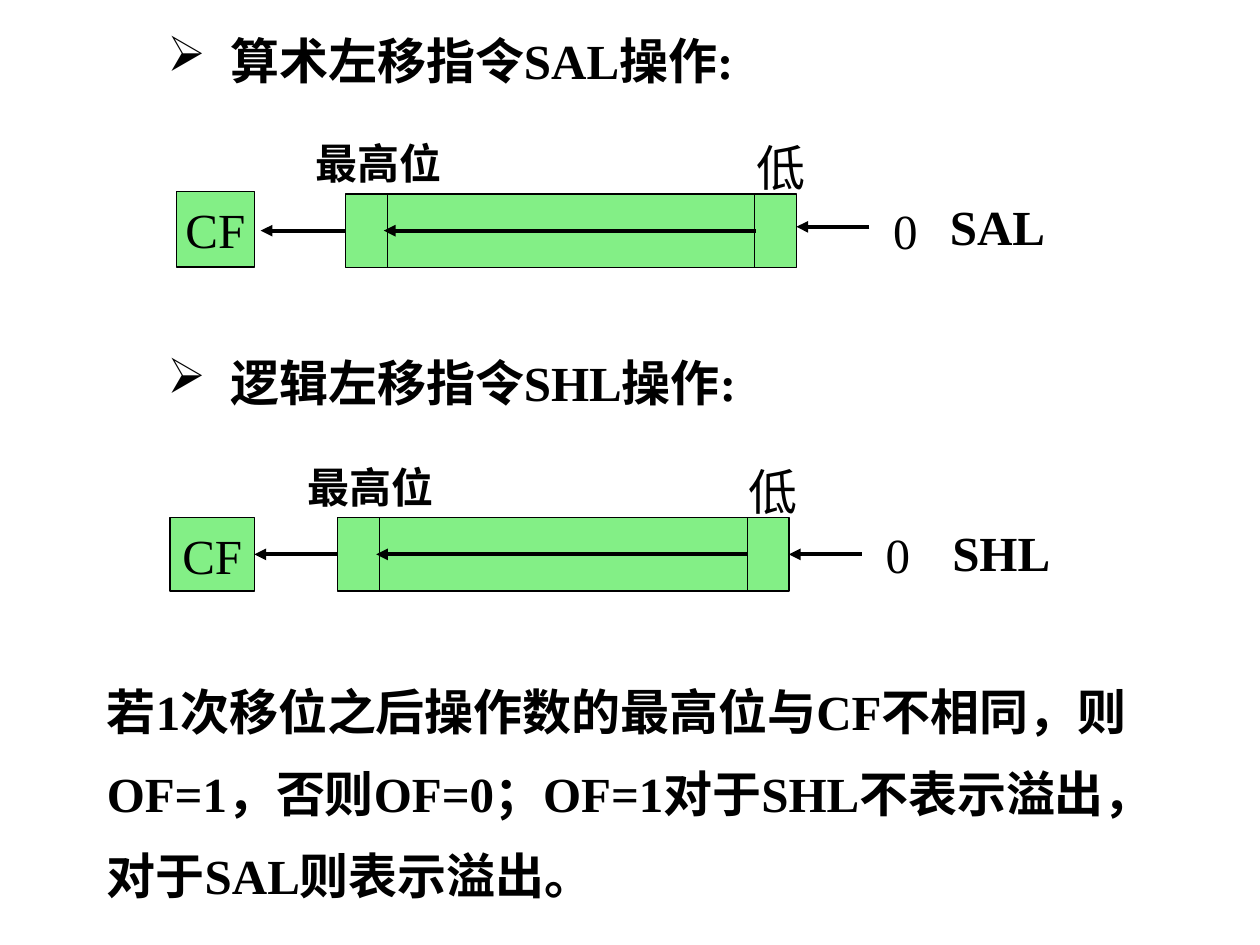
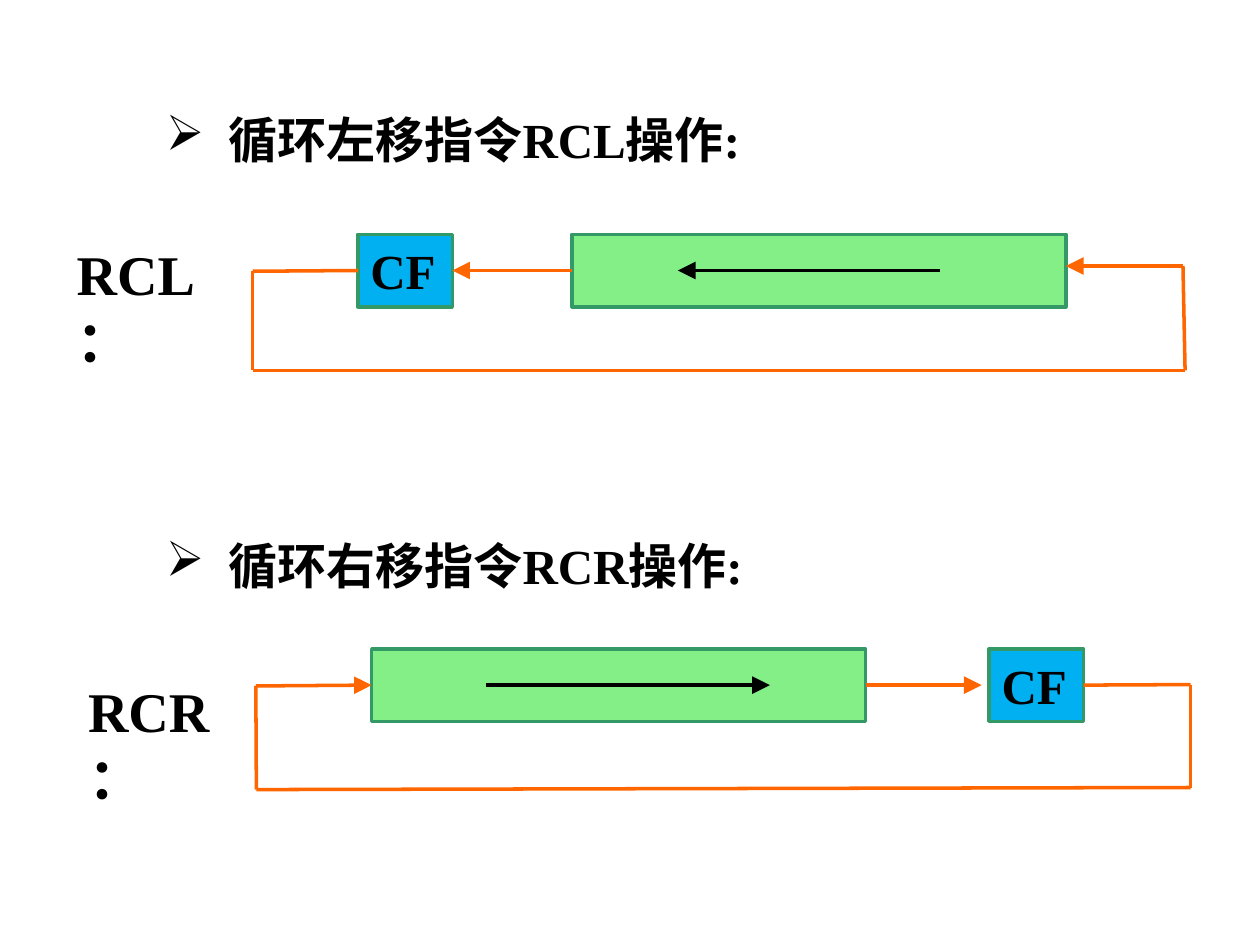
import itertools

import pptx
import pptx.util
from lxml import etree
from pptx.dml.color import RGBColor
from pptx.enum.shapes import MSO_CONNECTOR, MSO_SHAPE
from pptx.enum.text import MSO_ANCHOR, MSO_AUTO_SIZE, PP_ALIGN
from pptx.oxml.ns import qn

Pt = pptx.util.Pt

BLACK = RGBColor(0, 0, 0)
GREEN = RGBColor(0x83, 0xEF, 0x86)
BLUE = RGBColor(0x00, 0xB0, 0xF0)
EDGE = RGBColor(0x33, 0x99, 0x66)
ORANGE = RGBColor(0xFF, 0x66, 0x00)

FONT = "Times New Roman"
SIZE = 28
LEFT, RIGHT = 1, 3  # connection sites of a rectangle
BAR_H = 41.8
RING_H = 41.4


def style(para, size=SIZE, bold=True):
    for run in para.runs:
        run.font.name = FONT
        run.font.size = Pt(size)
        run.font.bold = bold
        run.font.color.rgb = BLACK


def add_text(slide, text, x, y, w, h=41, size=SIZE, bold=True, wrap=True):
    frame = slide.shapes.add_textbox(Pt(x), Pt(y), Pt(w), Pt(h)).text_frame
    frame.word_wrap = wrap
    frame.auto_size = MSO_AUTO_SIZE.SHAPE_TO_FIT_TEXT
    frame.text = text
    para = frame.paragraphs[0]
    style(para, size, bold)
    return para


def add_title(slide, text, x, y):
    """Add a heading with an arrow bullet."""
    para = add_text(slide, text, x, y, 344, wrap=False)
    props = para._p.get_or_add_pPr()
    props.set("marL", str(Pt(36)))
    props.set("indent", str(Pt(-36)))
    etree.SubElement(props, qn("a:buChar"), char="➢")


def add_box(slide, x, y, w, h, fill=GREEN, edge=BLACK, width=0.75):
    box = slide.shapes.add_shape(
        MSO_SHAPE.RECTANGLE, Pt(x), Pt(y), Pt(w), Pt(h))
    box.shadow.inherit = False
    box.fill.solid()
    box.fill.fore_color.rgb = fill
    box.line.color.rgb = edge
    box.line.width = Pt(width)
    return box


def add_flag(box, align, anchor, bold, wrap):
    """Write CF, the carry flag, in a box."""
    frame = box.text_frame
    frame.word_wrap = wrap
    frame.vertical_anchor = anchor
    frame.text = "CF"
    frame.paragraphs[0].alignment = align
    style(frame.paragraphs[0], bold=bold)


def add_line(slide, start, end, color=BLACK, width=2.25, head=None):
    """Draw a line; each end is a point (x, y) or a joint (box, site)."""
    line = slide.shapes.add_connector(MSO_CONNECTOR.STRAIGHT, 0, 0, 0, 0)
    if isinstance(start[0], (int, float)):
        line.begin_x, line.begin_y = Pt(start[0]), Pt(start[1])
    else:
        line.begin_connect(*start)
    if isinstance(end[0], (int, float)):
        line.end_x, line.end_y = Pt(end[0]), Pt(end[1])
    else:
        line.end_connect(*end)
    line.line.color.rgb = color
    line.line.width = Pt(width)
    if head:
        etree.SubElement(line.line._get_or_add_ln(), qn("a:tailEnd"),
                         type="triangle", w=head, len=head)
    etree.SubElement(line._element.spPr, qn("a:effectLst"))


def add_shift(slide, name, x, y, flag, gap, feed, shift):
    """Draw a left shift: 0 enters the bar at its right, CF takes the top bit.

    flag is the CF rectangle, gap the space between it and its arrow, feed the
    start of the arrow from 0, shift the place of the name from the bar.
    """
    mid = y + BAR_H / 2
    bar = add_box(slide, x, y, 257.8, BAR_H)
    carry = add_box(slide, *flag)
    add_flag(carry, PP_ALIGN.CENTER, MSO_ANCHOR.MIDDLE, False, False)

    tip = (flag[0] + flag[2] + gap, mid) if gap else (carry, LEFT + 2)
    add_line(slide, (x + 299.5, feed),
             (bar, RIGHT) if feed == mid else (x + 257.8, feed), head="med")
    add_line(slide, (bar, LEFT), tip, head="med")
    add_line(slide, (x + 234.5, mid), (x + 22, mid), head="med")
    for step in (24, 234):
        add_line(slide, (x + step, y), (x + step, y + BAR_H), width=0.75)

    add_text(slide, "0", x + 306, y, 36, bold=False)
    add_text(slide, "低", x + 227.8, y - 36, 36, bold=False)
    add_text(slide, "最高位", x - 24.3, y - 36, 95.8, 36, size=24)
    add_text(slide, name, x + shift[0], y + shift[1], 90.7)


def add_ring(slide, name, label, bar_at, flag_at, sides, inner, tip, path):
    """Draw a rotate through CF; sides are the outer sites of CF and bar."""
    bar = add_box(slide, *bar_at, 282.2, RING_H, GREEN, EDGE, 2)
    carry = add_box(slide, *flag_at, 54, RING_H, BLUE, EDGE, 2)
    add_flag(carry, PP_ALIGN.LEFT, MSO_ANCHOR.TOP, True, True)
    mid = bar_at[1] + RING_H / 2
    out, back = sides
    add_line(slide, *((at, mid) for at in inner), width=2, head="lg")
    add_line(slide, (bar, out), (tip, mid) if tip else (carry, back),
             ORANGE, 2, "lg")

    *turns, last = path
    ends = [(carry, out), *turns, last or (bar, back)]
    for start, end in itertools.pairwise(ends):
        add_line(slide, start, end, ORANGE, 2,
                 "lg" if end is ends[-1] else None)

    para = add_text(slide, name, *label, 101.5, 46, size=32)
    para.add_run().text = "："
    style(para, 32)
    para.runs[-1].font.name = "Calibri"


def draw_shifts(slide):
    add_shift(slide, "SAL", 197.3, 110.9, (100.8, 109.4, 44.6, 43.2),
              3.6, 129.6, (338.4, -2.2))
    add_shift(slide, "SHL", 193, 295.9, (97.2, 295.9, 48.2, BAR_H),
              0, 295.9 + BAR_H / 2, (344.1, -0.7))
    add_title(slide, "算术左移指令SAL操作:", 88.6, 13.7)
    add_title(slide, "逻辑左移指令SHL操作:", 88.6, 198)
    note = add_text(
        slide, "若1次移位之后操作数的最高位与CF不相同，则OF=1，否则OF=0；"
        "OF=1对于SHL不表示溢出，对于SAL则表示溢出。", 54, 372.2, 629.3, 144)
    note.line_spacing = 1.4


def draw_rings(slide):
    add_title(slide, "循环左移指令RCL操作:", 87.8, 59)
    add_title(slide, "循环右移指令RCR操作:", 87.8, 302.4)
    add_ring(slide, "RCL", (36.7, 133.2), (326.9, 133.9), (204.5, 133.9),
             (LEFT, RIGHT), (537.1, 387.4), None,
             [(144.4, 155), (144.4, 211.7), (677.2, 211.7), (676, 152),
              (609.1, 152)])
    add_ring(slide, "RCR", (43.2, 383), (212.4, 370.8), (565.2, 370.8),
             (RIGHT, LEFT), (277.9, 439.9), 560.9,
             [(680.4, 391.2), (680.4, 450), (146.5, 451.2), (146.2, 392),
              None])


def main():
    deck = pptx.Presentation()
    deck.slide_width, deck.slide_height = Pt(720), Pt(540)
    for draw in (draw_shifts, draw_rings):
        draw(deck.slides.add_slide(deck.slide_layouts[6]))
    deck.save("out.pptx")


if __name__ == "__main__":
    main()
